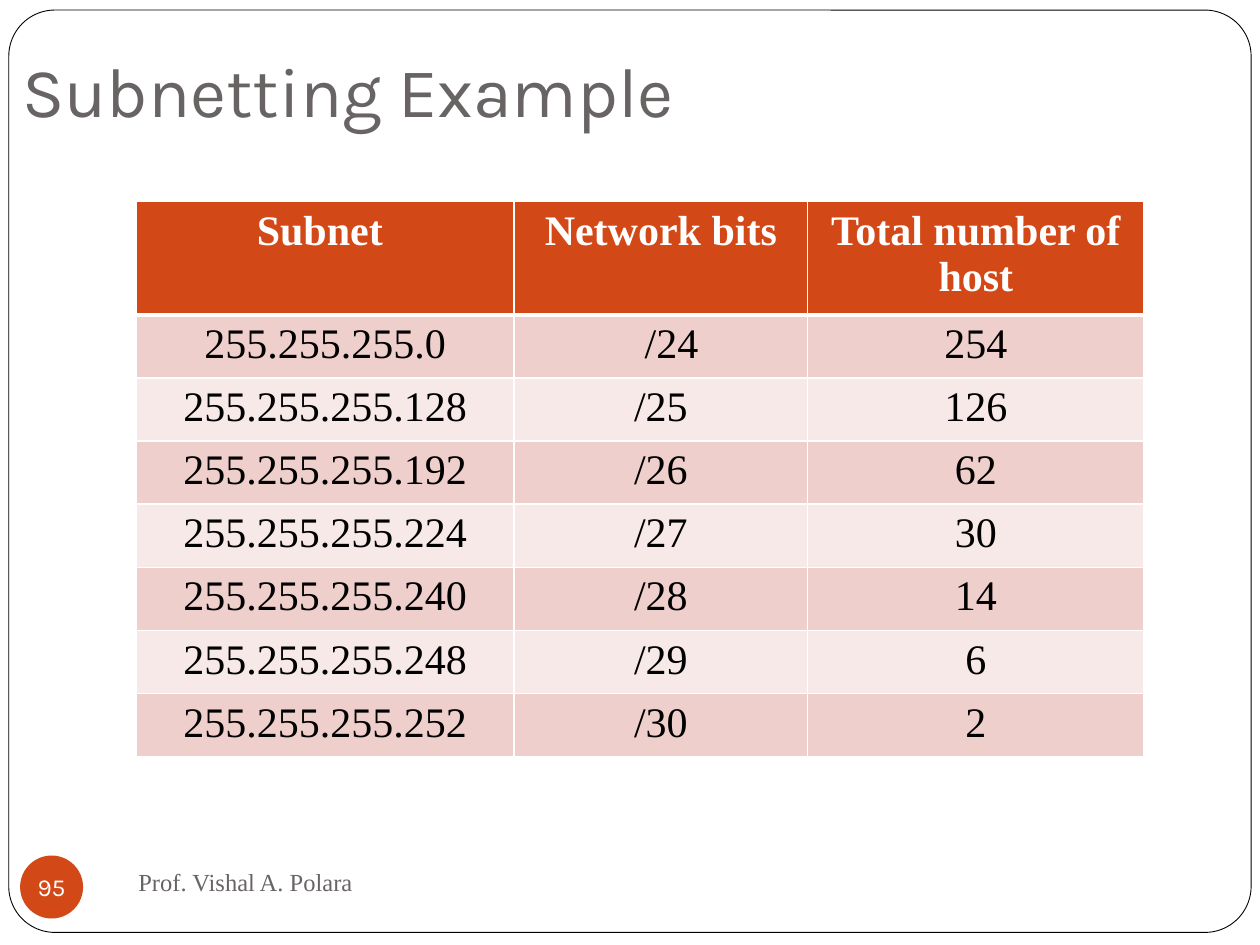
import pptx
import pptx.util
import pptx.dml.color
import pptx.enum.shapes
import pptx.enum.text
import pptx.oxml
import pptx.oxml.ns
from pptx.util import Inches, Pt

COLORS = {
    "white": "FFFFFF", "black": "000000", "gray": "696464",
    "accent": "D34817", "band_dark": "EFCFCC", "band_light": "F7E9E8",
}
TITLE_FONT, BODY_FONT = "Karla", "Times New Roman"

TITLE = "Subnetting Example"
FOOTER = "Prof. Vishal A. Polara"
SLIDE_NUMBER = "95"
HEADER = ("Subnet ", "Network bits", "Total number of host")
SUBNETS = [
    ("255.255.255.0", "/24", "254"),
    ("255.255.255.128", "/25", "126"),
    ("255.255.255.192", "/26", "62"),
    ("255.255.255.224", "/27", "30"),
    ("255.255.255.240", "/28", "14"),
    ("255.255.255.248", "/29", "6"),
    ("255.255.255.252", "/30", "2"),
]
COL_WIDTHS = (3, 2.33, 2.67)
HEADER_HEIGHT, ROW_HEIGHT = 0.82, 0.47

ALIGN = pptx.enum.text.PP_ALIGN
ANCHOR = pptx.enum.text.MSO_ANCHOR
SHAPE = pptx.enum.shapes.MSO_SHAPE


def rgb(name):
    return pptx.dml.color.RGBColor.from_string(COLORS[name])


def write(tf, text, font, size, color, align=ALIGN.LEFT, bold=False):
    p = tf.paragraphs[0]
    p.text = text
    p.alignment = align
    p.font.name, p.font.size, p.font.bold = font, Pt(size), bold
    p.font.color.rgb = rgb(color)


def add_text(slide, box, text, font, size, anchor):
    tf = slide.shapes.add_textbox(*map(Inches, box)).text_frame
    tf.word_wrap = True
    tf.vertical_anchor = anchor
    write(tf, text, font, size, "gray")


def add_shape(slide, kind, box, fill):
    s = slide.shapes.add_shape(kind, *map(Inches, box))
    s.shadow.inherit = False
    s.fill.solid()
    s.fill.fore_color.rgb = rgb(fill)
    s.line.fill.background()
    return s


def set_borders(cell, widths):
    """Draw white borders; widths maps L, R, T, B to points."""
    tc_pr = cell._tc.get_or_add_tcPr()
    for side, width in widths.items():
        tc_pr.append(pptx.oxml.parse_xml(
            f'<a:ln{side} {pptx.oxml.ns.nsdecls("a")} w="{Pt(width)}"><a:solidFill>'
            f'<a:srgbClr val="{COLORS["white"]}"/></a:solidFill></a:ln{side}>'))


def add_subnet_table(slide):
    rows = [HEADER] + SUBNETS
    heights = [HEADER_HEIGHT] + [ROW_HEIGHT] * len(SUBNETS)
    table = slide.shapes.add_table(
        len(rows), len(HEADER), Inches(1.08), Inches(1.6),
        Inches(sum(COL_WIDTHS)), Inches(sum(heights))).table
    for column, width in zip(table.columns, COL_WIDTHS):
        column.width = Inches(width)
    for i, (row, height) in enumerate(zip(rows, heights)):
        table.rows[i].height = Inches(height)
        is_header = i == 0
        fill = "accent" if is_header else "band_dark" if i % 2 else "band_light"
        for j, text in enumerate(row):
            cell = table.cell(i, j)
            set_borders(cell, {"L": 1, "R": 1, "T": 3 if i == 1 else 1,
                               "B": 3 if is_header else 1})
            cell.fill.solid()
            cell.fill.fore_color.rgb = rgb(fill)
            write(cell.text_frame, text, BODY_FONT, 24,
                  "white" if is_header else "black", ALIGN.CENTER, is_header)
    # The first prefix sits slightly right of centre
    table.cell(1, 1).margin_left = Inches(0.27)


def main():
    prs = pptx.Presentation()
    prs.slide_width, prs.slide_height = Inches(10), Inches(7.5)
    slide = prs.slides.add_slide(prs.slide_layouts[6])

    frame = add_shape(slide, SHAPE.ROUNDED_RECTANGLE, (0.07, 0.08, 9.86, 7.32), "white")
    frame.adjustments[0] = 0.05
    frame.line.color.rgb = rgb("black")
    frame.line.width = Pt(0.5)

    add_text(slide, (1, 6.75, 4.33, 0.5), FOOTER, BODY_FONT, 14, ANCHOR.MIDDLE)

    badge = add_shape(slide, SHAPE.OVAL, (0.16, 6.79, 0.5, 0.5), "accent")
    tf = badge.text_frame
    tf.margin_left = tf.margin_right = tf.margin_top = tf.margin_bottom = 0
    tf.word_wrap = False
    tf.vertical_anchor = ANCHOR.MIDDLE
    write(tf, SLIDE_NUMBER, TITLE_FONT, 14, "white", ALIGN.CENTER)

    add_subnet_table(slide)
    add_text(slide, (0.08, 0.33, 9.83, 1), TITLE, TITLE_FONT, 40, ANCHOR.TOP)
    prs.save("out.pptx")


if __name__ == "__main__":
    main()
